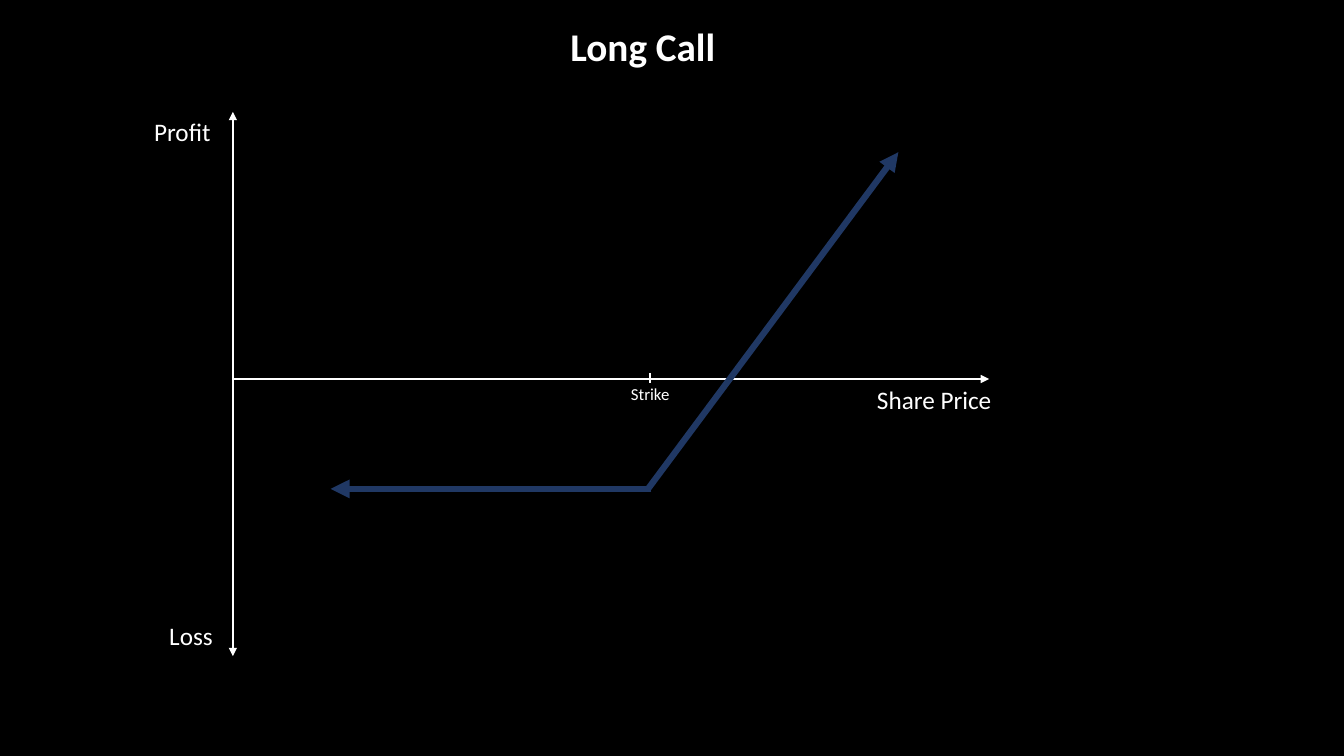
"""Build a slide with the payoff diagram of a long call option."""
import pptx
import pptx.dml.color
import pptx.enum.shapes
import pptx.enum.text
import pptx.oxml
import pptx.oxml.ns
import pptx.util

COLORS = {"background": "000000", "white": "FFFFFF", "payoff": "203864"}
FONT = "Calibri"

ORIGIN = (2.31, 3.76)
AXIS = {"color": "white", "width": 1.5, "arrow": True}
TICK = {"color": "white", "width": 1.5, "arrow": False}
PAYOFF = {"color": "payoff", "width": 4.5, "arrow": True}

LINES = [
    (ORIGIN, (2.31, 1.11), AXIS),
    (ORIGIN, (2.31, 6.51), AXIS),
    (ORIGIN, (9.81, 3.76), AXIS),
    ((6.42, 4.86), (8.91, 1.51), PAYOFF),
    ((6.46, 4.85), (3.28, 4.85), PAYOFF),
    ((6.45, 3.7), (6.45, 3.8), TICK),
]

LABELS = [
    ("Profit", (1.43, 1.11, 0.79, 0.4), {"size": 18}, True),
    ("Share Price", (8.6, 3.76, 1.36, 0.71), {"size": 18}, True),
    ("Long Call", (5.56, 0.17, 1.72, 0.57), {"size": 28, "bold": True}, True),
    ("Loss", (1.58, 6.1, 0.79, 0.4), {"size": 18}, True),
    ("Strike", (6.16, 3.76, 0.59, 0.3), {"size": 12}, False),
]


def rgb(name):
    return pptx.dml.color.RGBColor.from_string(COLORS[name])


def inches(*values):
    return [pptx.util.Inches(v) for v in values]


def add_line(s, start, end, style):
    line = s.shapes.add_connector(
        pptx.enum.shapes.MSO_CONNECTOR.STRAIGHT, *inches(*start, *end))
    line.line.color.rgb = rgb(style["color"])
    line.line.width = pptx.util.Pt(style["width"])
    if style["arrow"]:
        ln = line.line._get_or_add_ln()
        ln.append(pptx.oxml.parse_xml(
            f'<a:tailEnd {pptx.oxml.ns.nsdecls("a")} type="triangle"/>'))
    line._element.spPr.append(pptx.oxml.parse_xml(
        f'<a:effectLst {pptx.oxml.ns.nsdecls("a")}/>'))


def add_label(s, text, box, font, wrap):
    tf = s.shapes.add_textbox(*inches(*box)).text_frame
    tf.word_wrap = wrap
    tf.auto_size = pptx.enum.text.MSO_AUTO_SIZE.SHAPE_TO_FIT_TEXT
    r = tf.paragraphs[0].add_run()
    r.text = text
    r.font.color.rgb = rgb("white")
    values = {**font, "name": FONT, "size": pptx.util.Pt(font["size"])}
    for key, value in values.items():
        setattr(r.font, key, value)


def main():
    prs = pptx.Presentation()
    prs.slide_width, prs.slide_height = inches(13.33, 7.5)
    s = prs.slides.add_slide(prs.slide_layouts[6])
    s.background.fill.solid()
    s.background.fill.fore_color.rgb = rgb("background")
    for start, end, style in LINES:
        add_line(s, start, end, style)
    for text, box, font, wrap in LABELS:
        add_label(s, text, box, font, wrap)
    prs.save("out.pptx")


if __name__ == "__main__":
    main()
